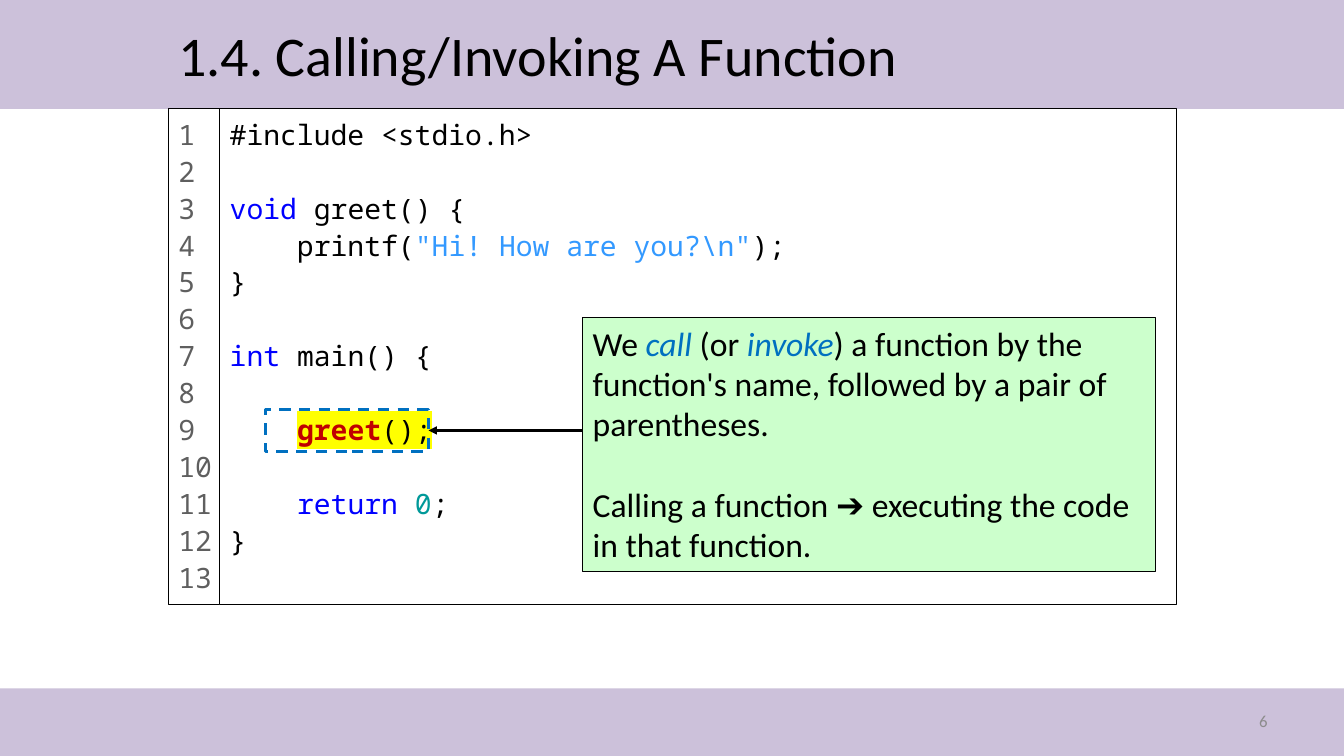
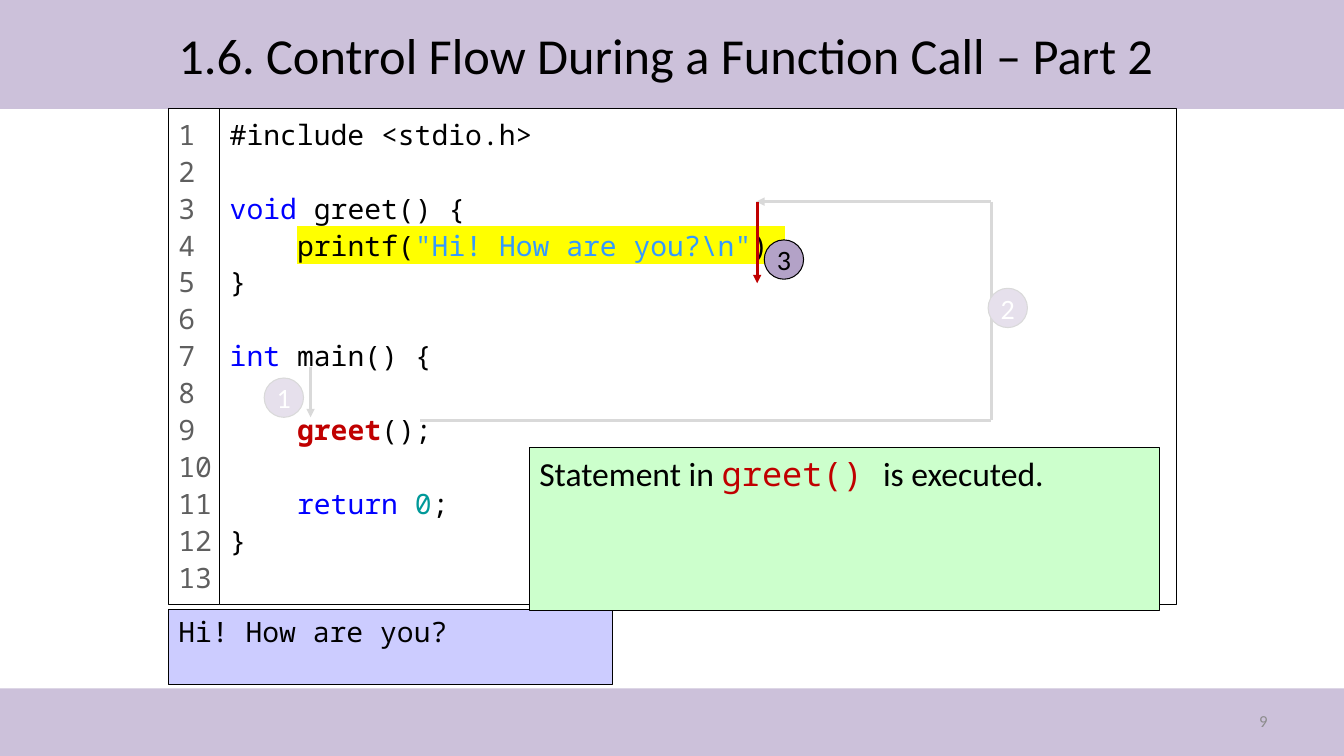
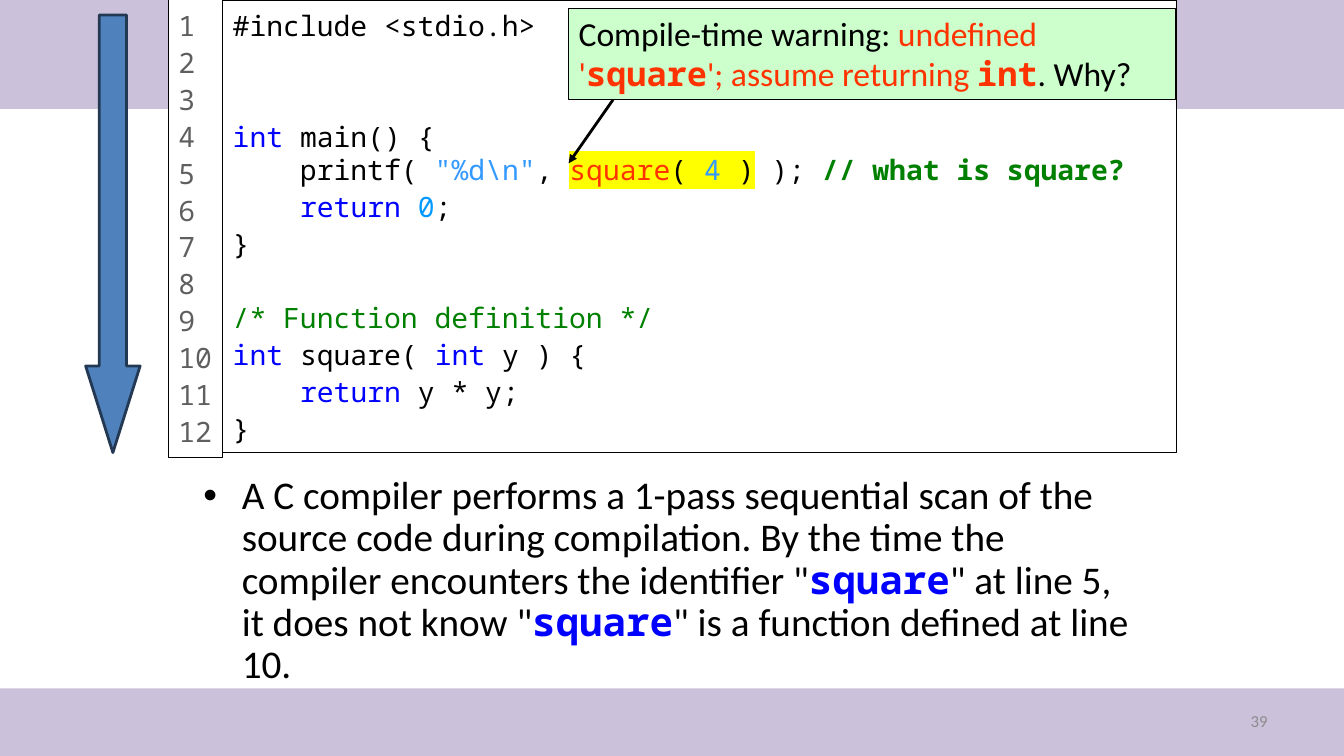
from pptx import Presentation
from pptx.dml.color import RGBColor
from pptx.enum.dml import MSO_LINE
from pptx.enum.shapes import MSO_CONNECTOR, MSO_SHAPE
from pptx.enum.text import MSO_ANCHOR, PP_ALIGN
from pptx.oxml.ns import qn
from pptx.util import Inches, Pt
from lxml import etree

RECT, OVAL, DOWN_ARROW = MSO_SHAPE.RECTANGLE, MSO_SHAPE.OVAL, MSO_SHAPE.DOWN_ARROW
STRAIGHT, DASH = MSO_CONNECTOR.STRAIGHT, MSO_LINE.DASH
TOP, MIDDLE = MSO_ANCHOR.TOP, MSO_ANCHOR.MIDDLE
LEFT, CENTER, RIGHT = PP_ALIGN.LEFT, PP_ALIGN.CENTER, PP_ALIGN.RIGHT

SANS, MONO = "Calibri", "Noto Sans Mono"
WIDTH, HEIGHT = 13.33, 7.5
TITLE_BAND, FOOTER_TOP = 1.08, 6.83
CODE_LEFT, CODE_RIGHT = 1.67, 11.67
CODE_LINE = 26.4  # points taken by one line of code
BLACK, WHITE, GREY, RED = "000000", "FFFFFF", "D9D9D9", "C00000"
BAND, NOTE, OUTPUT = "CCC1DA", "CCFFCC", "CCCCFF"
HIGHLIGHT = "FFFF00"

# Run styles: what differs from the text around the run
STYLES = {
    "plain": {},
    "key": {"color": "0000FF"},
    "string": {"color": "3399FF"},
    "number": {"color": "009999"},
    "zero": {"color": "0099FF"},
    "comment": {"color": "008000"},
    "remark": {"color": "008000", "bold": True},
    "call": {"color": RED, "bold": True},
    "unknown": {"color": "FF3300"},
    "unknown code": {"color": "FF3300", "bold": True, "font": MONO},
    "term": {"color": "0070C0", "italic": True},
    "name": {"color": RED, "font": MONO},
    "identifier": {"color": "0000FF", "bold": True, "font": MONO},
}

# Content: a paragraph is a list of runs, plain text or (text, style)
GREET_CODE = [
    ["#include <stdio.h>"],
    [],
    [("void", "key"), " greet() {"],
    ["    ", "printf(", ('"Hi! How are you?\\n"', "string"), ");"],
    ["}"],
    [],
    [("int", "key"), " main() {"],
    [],
    ["    ", ("greet", "call"), "();"],
    [],
    ["    ", ("return ", "key"), ("0", "number"), ";"],
    ["}"],
]
SQUARE_CODE = [
    ["#include <stdio.h>"],
    [],
    [],
    [("int", "key"), " main() {"],
    ["    ", "printf( ", ('"%d\\n"', "string"), ", ", ("square", "unknown"), "( ",
     ("4", "string"), " )", " );", (" // what is square?", "remark")],
    ["    ", ("return ", "key"), ("0", "zero"), ";"],
    ["}"],
    [],
    [("/* Function definition */", "comment")],
    [("int", "key"), " square( ", ("int", "key"), " y ) {"],
    ["    ", ("return", "key"), " y * y;"],
    ["}"],
]
CALL_NOTE = [
    ["We ", ("call ", "term"), "(or ", ("invoke", "term"),
     ") a function by the function's name, followed by a pair of parentheses."],
    ["Calling a function ➔ executing the code in that function."],
]
STEP_NOTE = [["Statement in ", ("greet() ", "name"), "is executed."]]
WARNING_NOTE = [["Compile-time warning: ", ("undefined '", "unknown"),
                 ("square", "unknown code"), ("'; assume returning ", "unknown"),
                 ("int", "unknown code"), ". Why?"]]
SCAN_POINT = [["A C compiler performs a 1-pass sequential scan of the source code during "
               'compilation. By the time the compiler encounters the identifier "',
               ("square", "identifier"), '" at line 5, it does not know "',
               ("square", "identifier"), '" is a function defined at line 10.']]

# Steps of the control flow: number, left, top, fill, line, text colour
STEPS = [
    ("3", 7.58, 2.38, "B3A2C7", BLACK, BLACK),
    ("2", 9.8, 2.86, "E6E0EC", GREY, WHITE),
    ("1", 2.62, 3.75, "E6E0EC", GREY, WHITE),
]
# Paths of the control flow: from, to, colour, arrowhead
PATHS = [
    ((9.83, 2), (7.5, 2), GREY, True),
    ((4.17, 4.17), (9.83, 4.17), GREY, False),
    ((9.83, 2), (9.83, 4.17), GREY, False),
    ((7.51, 2), (7.51, 2.81), RED, True),
    ((3.08, 3.64), (3.08, 4.14), GREY, True),
]


def rgb(value):
    return RGBColor.from_string(value)


def add_run(paragraph, text, size, font, color, bold=False, italic=False, mark=False):
    run = paragraph.add_run()
    run.text = text
    run.font.size, run.font.name = Pt(size), font
    run.font.bold, run.font.italic = bold, italic
    run.font.color.rgb = rgb(color)
    if mark:
        highlight = etree.Element(qn("a:highlight"))
        etree.SubElement(highlight, qn("a:srgbClr")).set("val", HIGHLIGHT)
        run.font.fill  # the highlight has to follow the fill
        run._r.get_or_add_rPr().find(qn("a:solidFill")).addnext(highlight)


def add_runs(paragraph, runs, size, font, color=BLACK, marked=()):
    for index, run in enumerate(runs):
        text, style = (run, "plain") if isinstance(run, str) else run
        add_run(paragraph, text, size, **{"font": font, "color": color, **STYLES[style]},
                mark=index in marked)


def prepare(shape, anchor=TOP, wrap=True, inset=None):
    frame = shape.text_frame
    frame.word_wrap, frame.vertical_anchor = wrap, anchor
    if inset is not None:
        frame.margin_left = frame.margin_right = Inches(inset)
        frame.margin_top = frame.margin_bottom = Inches(inset)
    return frame


def write(frame, paragraphs, size, font=SANS, color=BLACK, align=LEFT, gap=0):
    for index, runs in enumerate(paragraphs):
        paragraph = frame.add_paragraph() if index else frame.paragraphs[0]
        paragraph.alignment = align
        if index and gap:
            paragraph.space_before = Pt(gap)
        add_runs(paragraph, runs, size, font, color)


def add_box(slide, place, fill=None, line=None, weight=0.75, kind=RECT):
    shape = slide.shapes.add_shape(kind, *map(Inches, place))
    shape.shadow.inherit = False
    if fill:
        shape.fill.solid()
        shape.fill.fore_color.rgb = rgb(fill)
    else:
        shape.fill.background()
    if line:
        shape.line.color.rgb = rgb(line)
        shape.line.width = Pt(weight)
    else:
        shape.line.fill.background()
    return shape


def add_label(slide, place, text, size, color=BLACK, align=LEFT):
    label = slide.shapes.add_textbox(*map(Inches, place))
    write(prepare(label, MIDDLE), [[text]], size, color=color, align=align)


def add_note(slide, place, paragraphs, gap=0):
    write(prepare(add_box(slide, place, NOTE, BLACK)), paragraphs, 24, gap=gap)


def add_path(slide, start, end, color=BLACK, arrow=True):
    path = slide.shapes.add_connector(STRAIGHT, *map(Inches, (*start, *end)))
    path.line.color.rgb = rgb(color)
    path.line.width = Pt(2)
    if arrow:
        tail = etree.SubElement(path.line._get_or_add_ln(), qn("a:tailEnd"))
        tail.set("type", "triangle")
    etree.SubElement(path._element.spPr, qn("a:effectLst"))
    return path


def add_slide(deck, number, title=None, title_size=40):
    slide = deck.slides.add_slide(deck.slide_layouts[6])
    add_box(slide, (0, 0, WIDTH, TITLE_BAND), BAND)
    add_box(slide, (0, FOOTER_TOP, WIDTH, HEIGHT - FOOTER_TOP), BAND)
    add_label(slide, (9.56, 6.95, 3.11, 0.4), number, 12, "8C8C8C", RIGHT)
    if title:
        add_label(slide, (CODE_LEFT, 0, 9.99, TITLE_BAND), title, title_size)
    return slide


def add_code(slide, code, marked, top=TITLE_BAND, gutter=0.51, height=4.92,
             gutter_height=4.92, last_number=13, tight_line=None):
    """Code beside its line numbers; marked is (line, run indices)."""
    left = CODE_LEFT + gutter
    listing = prepare(add_box(slide, (left, top, CODE_RIGHT - left, height), WHITE, BLACK))
    paragraph, skipped = listing.paragraphs[0], 0
    for number, runs in enumerate(code, 1):
        if not runs:
            skipped += 1
            continue
        if number > 1:
            paragraph = listing.add_paragraph()
        paragraph.alignment = LEFT
        paragraph.line_spacing = 1.0 if number == tight_line else 1.1
        if skipped:
            paragraph.space_before = Pt(CODE_LINE * skipped)
        add_runs(paragraph, runs, 20, MONO, marked=marked[1] if number == marked[0] else ())
        skipped = 0

    numbers = prepare(add_box(slide, (CODE_LEFT, top, gutter, gutter_height), WHITE, BLACK),
                      wrap=False)
    write(numbers, [[str(n)] for n in range(1, last_number + 1)], 20, MONO, "5F5F5F")
    for paragraph in numbers.paragraphs:
        paragraph.line_spacing = 1.1


def calling_slide(deck):
    slide = add_slide(deck, "6", "1.4. Calling/Invoking A Function")
    add_code(slide, GREET_CODE, marked=(9, (1, 2)))
    call_frame = add_box(slide, (2.63, 4.06, 1.62, 0.42), line="0070C0", weight=2)
    call_frame.line.dash_style = DASH
    add_note(slide, (5.78, 3.15, 5.68, 2.52), CALL_NOTE, gap=29)
    add_path(slide, (5.78, 4.27), (4.25, 4.27)).end_connect(call_frame, 3)


def control_flow_slide(deck):
    slide = add_slide(deck, "9", "1.6. Control Flow During a Function Call – Part 2", 36)
    add_code(slide, GREET_CODE, marked=(4, (1, 2, 3)))
    output = add_box(slide, (CODE_LEFT, 6.05, 4.41, 0.74), OUTPUT, BLACK)
    write(prepare(output), [["Hi! How are you?"]], 20, MONO)
    add_note(slide, (5.25, 4.44, 6.25, 1.62), STEP_NOTE)
    for start, end, color, arrow in PATHS:
        add_path(slide, start, end, color, arrow)
    for number, left, top, fill, line, color in STEPS:
        step = add_box(slide, (left, top, 0.39, 0.39), fill, line, kind=OVAL)
        write(prepare(step, MIDDLE, inset=0), [[number]], 20, color=color, align=CENTER)


def compiler_scan_slide(deck):
    slide = add_slide(deck, "39")
    # Bulleted explanation
    point = prepare(slide.shapes.add_textbox(*map(Inches, (1.92, 4.67, 9.5, 1.92))))
    paragraph = point.paragraphs[0]
    properties = paragraph._p.get_or_add_pPr()
    properties.set("marL", str(Inches(0.38)))
    properties.set("indent", str(-Inches(0.38)))
    etree.SubElement(properties, qn("a:buFont")).set("typeface", "Arial")
    etree.SubElement(properties, qn("a:buChar")).set("char", "•")
    paragraph.line_spacing = 0.9
    write(point, SCAN_POINT, 28)
    # Code with the warning
    add_code(slide, SQUARE_CODE, marked=(5, (4, 5, 6, 7)), top=0, gutter=0.54, height=4.49,
             gutter_height=4.54, last_number=12, tight_line=5)
    add_note(slide, (5.64, 0.08, 6.02, 0.91), WARNING_NOTE)
    add_path(slide, (6.08, 0.99), (5.64, 1.62))
    # Direction of the scan
    scan = add_box(slide, (0.85, 0.15, 0.54, 4.34), "4F81BD", "233953", 2, DOWN_ARROW)
    scan.adjustments[0], scan.adjustments[1] = 0.5, 1.59


def main():
    deck = Presentation()
    deck.slide_width, deck.slide_height = Inches(WIDTH), Inches(HEIGHT)
    calling_slide(deck)
    control_flow_slide(deck)
    compiler_scan_slide(deck)
    deck.save("out.pptx")


if __name__ == "__main__":
    main()
